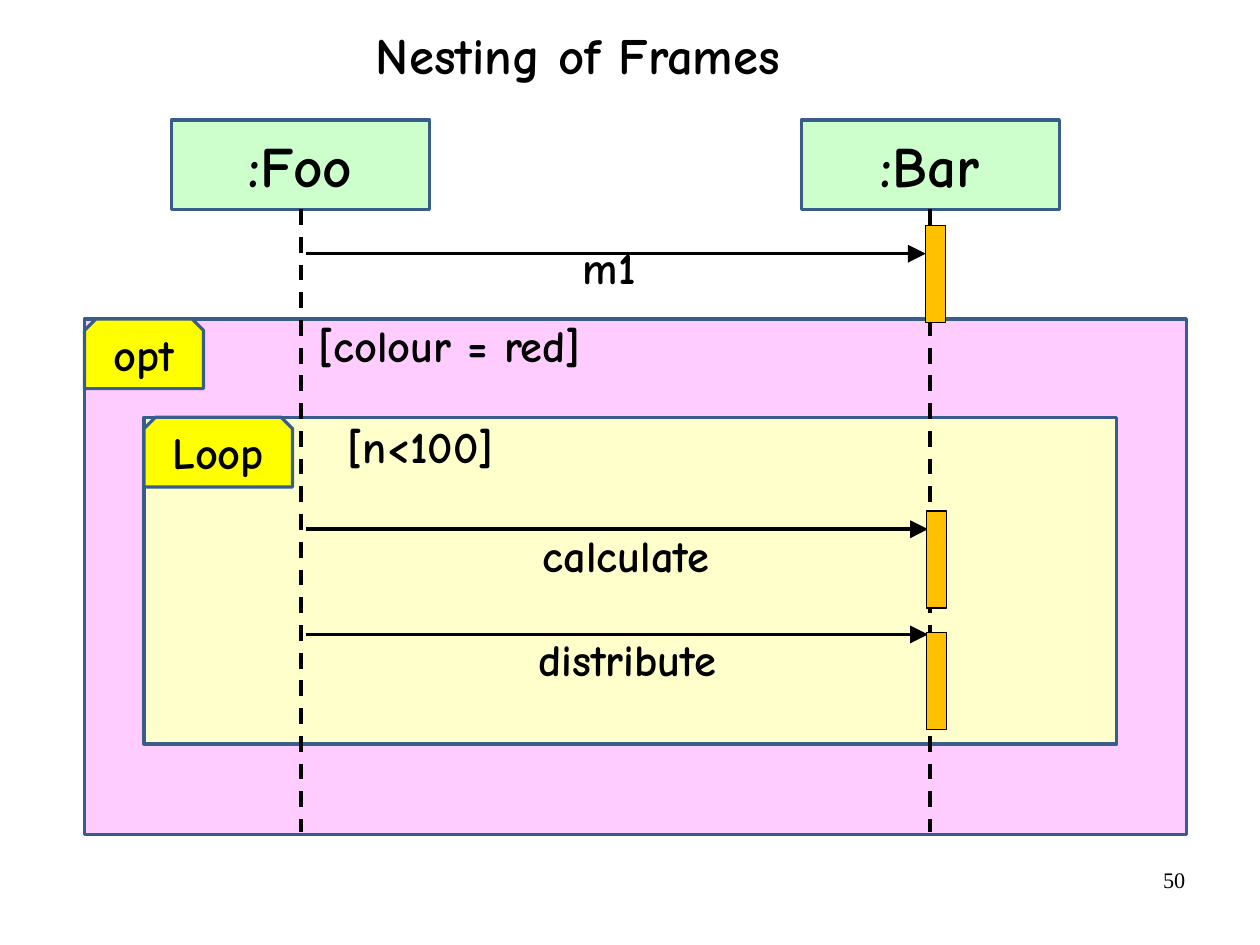
from lxml import etree
from pptx import Presentation
from pptx import util as u
from pptx.dml.color import RGBColor
from pptx.enum import dml, shapes, text
from pptx.oxml.ns import qn

PX = 9144  # 100 px to the inch
SLIDE_SIZE = u.Emu(10080625), u.Emu(7559675)
FONT, BLACK, BLUE = "Comic Neue", "000000", "385D8A"

TITLE = "Nesting of Frames", (318, 15, 632, 65)
PAGE = "50", (790, 753, 257, 57)

HEADS = [(":Foo", 150), (":Bar", 701)]  # name, left
HEAD_TOP, HEAD_W, HEAD_H = 105, 226, 78
LIFELINE_END = 728

# label, box, fill, tab width
FRAMES = [("opt", (74, 279, 964, 451), "FFCCFF", 104),
          ("Loop", (126, 365, 851, 286), "FFFFCC", 130)]
TAB_H, TAB_CUT = 61, 10

MESSAGE_START = 268
MESSAGES = [(222, 810), (463, 812), (555, 812)]  # y, right end
LABELS = [("m1", (499, 204, 191, 58)),
          ("calculate", (464, 456, 191, 58)),
          ("distribute", (460, 547, 217, 58)),
          ("[colour = red]", (268, 272, 333, 58)),
          ("[n<100]", (293, 361, 333, 58))]

ACTIVATIONS = [(810, 197), (811, 447), (811, 553)]  # left, top
ACTIVATION_W, ACTIVATION_H = 17, 85


def rgb(value):
    return RGBColor.from_string(value)


def emu(lengths):
    return [n * PX for n in lengths]


def write(sp, words, size, align=text.PP_ALIGN.LEFT,
          anchor=text.MSO_ANCHOR.TOP, font=FONT, bold=True, inset=(11, 6)):
    tf = sp.text_frame
    side, edge = emu(inset)
    frame_format = dict(word_wrap=True, auto_size=text.MSO_AUTO_SIZE.NONE,
                        vertical_anchor=anchor, margin_left=side,
                        margin_right=side, margin_top=edge, margin_bottom=edge)
    for name, value in frame_format.items():
        setattr(tf, name, value)
    p = tf.paragraphs[0]
    p.alignment = align
    r = p.add_run()
    r.text = words
    for name, value in dict(name=font, size=u.Pt(size), bold=bold).items():
        setattr(r.font, name, value)
    r.font.color.rgb = rgb(BLACK)


def style(sp, fill, line=BLUE, width=2, words=None, size=28):
    sp.shadow.inherit = False
    sp.fill.solid()
    sp.fill.fore_color.rgb = rgb(fill)
    sp.line.color.rgb = rgb(line)
    sp.line.width = u.Pt(width)
    if words:
        write(sp, words, size, text.PP_ALIGN.CENTER, text.MSO_ANCHOR.MIDDLE)
    return sp


def add_box(s, box, fill, **format_values):
    sp = s.shapes.add_shape(shapes.MSO_SHAPE.RECTANGLE, *emu(box))
    return style(sp, fill, **format_values)


def add_tab(s, left, top, width, label):
    """Add a frame's label, a box with its two upper corners cut."""
    right, bottom = left + width, top + TAB_H
    outline = s.shapes.build_freeform(left + TAB_CUT, top, scale=PX)
    outline.add_line_segments([
        (right - TAB_CUT, top), (right, top + TAB_CUT), (right, bottom),
        (left, bottom), (left, top + TAB_CUT)], close=True)
    style(outline.convert_to_shape(), "FFFF00", words=label)


def add_line(s, start, end, width, dash=None, arrow=False):
    c = s.shapes.add_connector(shapes.MSO_CONNECTOR.STRAIGHT, *emu(start + end))
    c.line.color.rgb = rgb(BLACK)
    c.line.width = u.Pt(width)
    if dash:
        c.line.dash_style = dash
    sp_pr = c._element.spPr
    if arrow:
        etree.SubElement(sp_pr.find(qn("a:ln")), qn("a:tailEnd"),
                         type="triangle", w="lg", len="lg")
    etree.SubElement(sp_pr, qn("a:effectLst"))
    return c


def add_text(s, words, box, size, **format_values):
    write(s.shapes.add_textbox(*emu(box)), words, size, **format_values)


def main():
    prs = Presentation()
    prs.slide_width, prs.slide_height = SLIDE_SIZE
    s = prs.slides.add_slide(prs.slide_layouts[5])

    words, box = TITLE
    title = s.shapes.title
    title.left, title.top, title.width, title.height = emu(box)
    write(title, words, 32)

    words, box = PAGE
    add_text(s, words, box, 14, align=text.PP_ALIGN.RIGHT,
             font="Times New Roman", bold=False, inset=(10, 5))

    heads = [add_box(s, (left, HEAD_TOP, HEAD_W, HEAD_H), "CCFFCC",
                     words=name, size=36) for name, left in HEADS]

    for label, box, fill, tab_w in FRAMES:
        add_box(s, box, fill)
        add_tab(s, *box[:2], tab_w, label)

    for head, (_, left) in zip(heads, HEADS):
        x = left + HEAD_W // 2
        lifeline = add_line(s, (x, HEAD_TOP + HEAD_H), (x, LIFELINE_END), 2.5,
                            dash=dml.MSO_LINE.DASH)
        lifeline.begin_connect(head, 2)

    for y, end in MESSAGES:
        add_line(s, (MESSAGE_START, y), (end, y), 2.25, arrow=True)
    for words, box in LABELS:
        add_text(s, words, box, 28)
    for left, top in ACTIVATIONS:
        add_box(s, (left, top, ACTIVATION_W, ACTIVATION_H), "FFC000",
                line=BLACK, width=0.75)

    prs.save("out.pptx")


if __name__ == "__main__":
    main()
